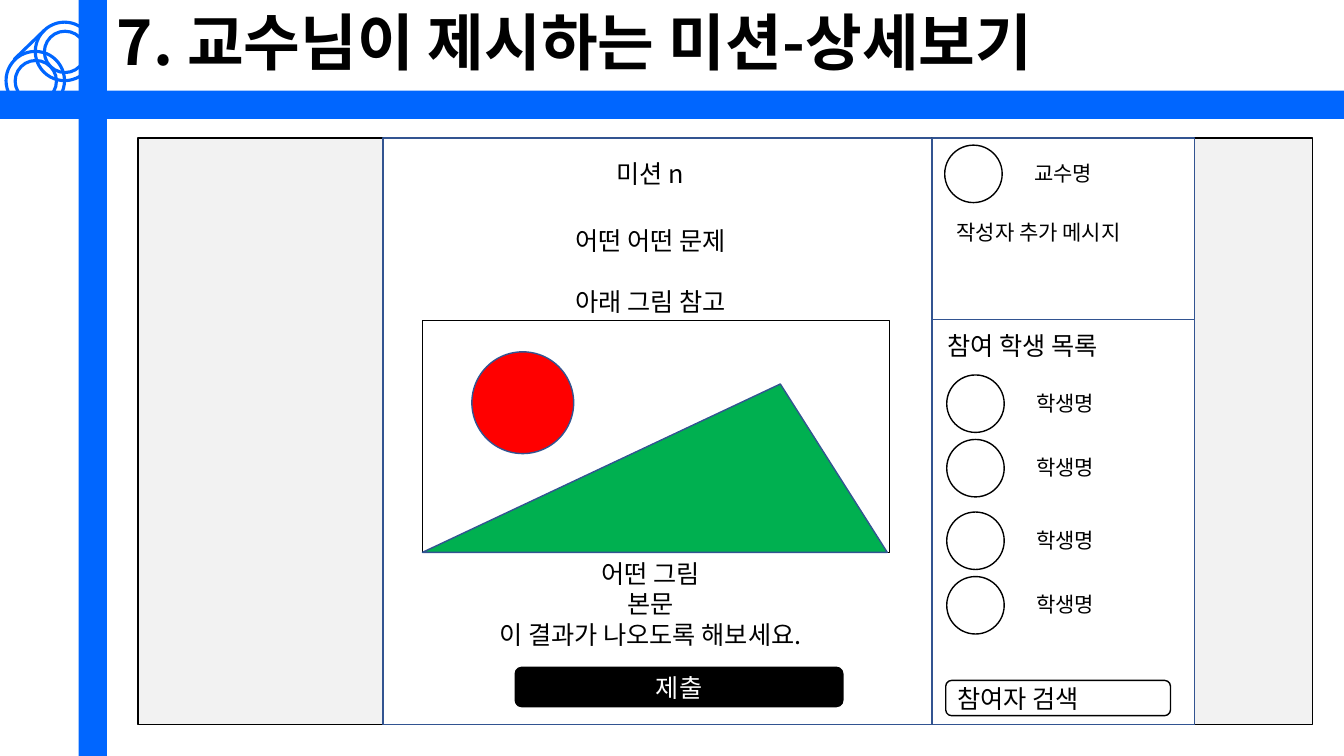
from lxml import etree
from pptx import Presentation
from pptx.dml.color import RGBColor
from pptx.enum.shapes import MSO_CONNECTOR, MSO_SHAPE
from pptx.enum.text import MSO_ANCHOR, PP_ALIGN
from pptx.oxml.ns import qn
from pptx.util import Pt

PX = 9144  # one hundredth of an inch
FONT = "Noto Sans CJK KR"

BLUE = RGBColor(0x00, 0x66, 0xFF)
NAVY = RGBColor(0x32, 0x54, 0x91)
BLACK = RGBColor(0x00, 0x00, 0x00)
WHITE = RGBColor(0xFF, 0xFF, 0xFF)
GREY = RGBColor(0xF2, 0xF2, 0xF2)
RED = RGBColor(0xFF, 0x00, 0x00)
GREEN = RGBColor(0x00, 0xB0, 0x50)

RECT = MSO_SHAPE.RECTANGLE
OVAL = MSO_SHAPE.OVAL
ROUNDED = MSO_SHAPE.ROUNDED_RECTANGLE
TRIANGLE = MSO_SHAPE.ISOSCELES_TRIANGLE
STRAIGHT = MSO_CONNECTOR.STRAIGHT
LEFT, CENTER, RIGHT = PP_ALIGN.LEFT, PP_ALIGN.CENTER, PP_ALIGN.RIGHT
TOP, MIDDLE = MSO_ANCHOR.TOP, MSO_ANCHOR.MIDDLE

BLANK_LINE = 21.6  # points taken by one 18 pt line


def px(*lengths):
    return [length * PX for length in lengths]


def add_figure(slide, kind, box, fill=None, line=None, weight=1):
    figure = slide.shapes.add_shape(kind, *px(*box))
    figure.shadow.inherit = False
    if fill is None:
        figure.fill.background()
    else:
        figure.fill.solid()
        figure.fill.fore_color.rgb = fill
    if line is None:
        figure.line.fill.background()
    else:
        figure.line.color.rgb = line
        figure.line.width = Pt(weight)
    return figure


def add_line(slide, start, end, color, weight):
    line = slide.shapes.add_connector(STRAIGHT, *px(*start, *end))
    line.line.color.rgb = color
    line.line.width = Pt(weight)
    etree.SubElement(line._element.spPr, qn("a:effectLst"))


def write(holder, *lines, size=18, color=BLACK, bold=False, align=LEFT,
          anchor=TOP, spacing=None, gaps=()):
    """Write one paragraph per line; gaps holds the space before each, in points."""
    frame = holder.text_frame
    frame.word_wrap = True
    frame.vertical_anchor = anchor
    for index, text in enumerate(lines):
        paragraph = frame.add_paragraph() if index else frame.paragraphs[0]
        paragraph.alignment = align
        if spacing:
            paragraph.line_spacing = spacing
        if gaps and gaps[index]:
            paragraph.space_before = Pt(gaps[index])
        run = paragraph.add_run()
        run.text = text
        run.font.size = Pt(size)
        run.font.bold = bold
        run.font.name = FONT
        run.font.color.rgb = color
        east_asian = etree.SubElement(run.font._element, qn("a:ea"))
        east_asian.set("typeface", FONT)


def add_text(slide, box, *lines, **style):
    write(slide.shapes.add_textbox(*px(*box)), *lines, **style)


def add_frame(slide):
    for left, top, size in ((6, 51, 58), (35, 22, 58), (44, 31, 41), (15, 60, 41)):
        add_figure(slide, OVAL, (left, top, size, size), line=BLUE, weight=2.25)
    add_line(slide, (14, 59), (44, 30), BLUE, 2.25)
    add_figure(slide, RECT, (78, 0, 28, 750), BLUE)
    add_figure(slide, RECT, (0, 90, 1333, 28), BLUE)


def add_person(slide, left, top, name):
    add_text(slide, (left + 15, top + 10, 141, 35), name,
             size=15, align=RIGHT, anchor=MIDDLE)
    add_figure(slide, OVAL, (left, top, 57, 57), WHITE, BLACK)


def add_mission(slide):
    add_figure(slide, RECT, (380, 137, 544, 582), WHITE, NAVY)
    add_text(slide, (419, 152, 452, 40), "미션 n", align=CENTER)
    add_text(slide, (419, 219, 452, 434),
             "어떤 어떤 문제", "아래 그림 참고", "어떤 그림", "본문",
             "이 결과가 나오도록 해보세요.",
             align=CENTER, gaps=(0, BLANK_LINE, 8 * BLANK_LINE, 0, 0))

    add_figure(slide, RECT, (419, 318, 463, 230), WHITE, BLACK)
    mountain = add_figure(slide, TRIANGLE, (419, 381, 461, 167), GREEN, NAVY)
    mountain.adjustments[0] = 0.77
    add_figure(slide, OVAL, (468, 349, 101, 101), RED, NAVY)

    submit = add_figure(slide, ROUNDED, (511, 662, 325, 39), BLACK, BLACK)
    write(submit, "제출", color=WHITE, align=CENTER, anchor=MIDDLE)


def add_sidebar(slide):
    add_figure(slide, RECT, (925, 137, 260, 180), WHITE, NAVY)
    add_person(slide, 937, 144, "교수명")
    add_text(slide, (939, 213, 231, 35), "작성자 추가 메시지", size=15)

    add_figure(slide, RECT, (925, 317, 260, 402), WHITE, NAVY)
    add_text(slide, (930, 323, 232, 40), "참여 학생 목록")
    for top in (372, 436, 508, 572):
        add_person(slide, 939, top, "학생명")
    search = add_figure(slide, ROUNDED, (938, 675, 223, 35), WHITE, BLACK)
    write(search, "참여자 검색", anchor=MIDDLE)


def main():
    deck = Presentation()
    deck.slide_width, deck.slide_height = px(1333, 750)
    slide = deck.slides.add_slide(deck.slide_layouts[6])
    add_frame(slide)
    add_figure(slide, RECT, (137, 137, 1165, 582), GREY, BLACK)
    add_text(slide, (106, 0, 1175, 90), "7. 교수님이 제시하는 미션-상세보기",
             size=44, bold=True, anchor=MIDDLE, spacing=0.9)
    add_mission(slide)
    add_sidebar(slide)
    deck.save("out.pptx")


if __name__ == "__main__":
    main()
